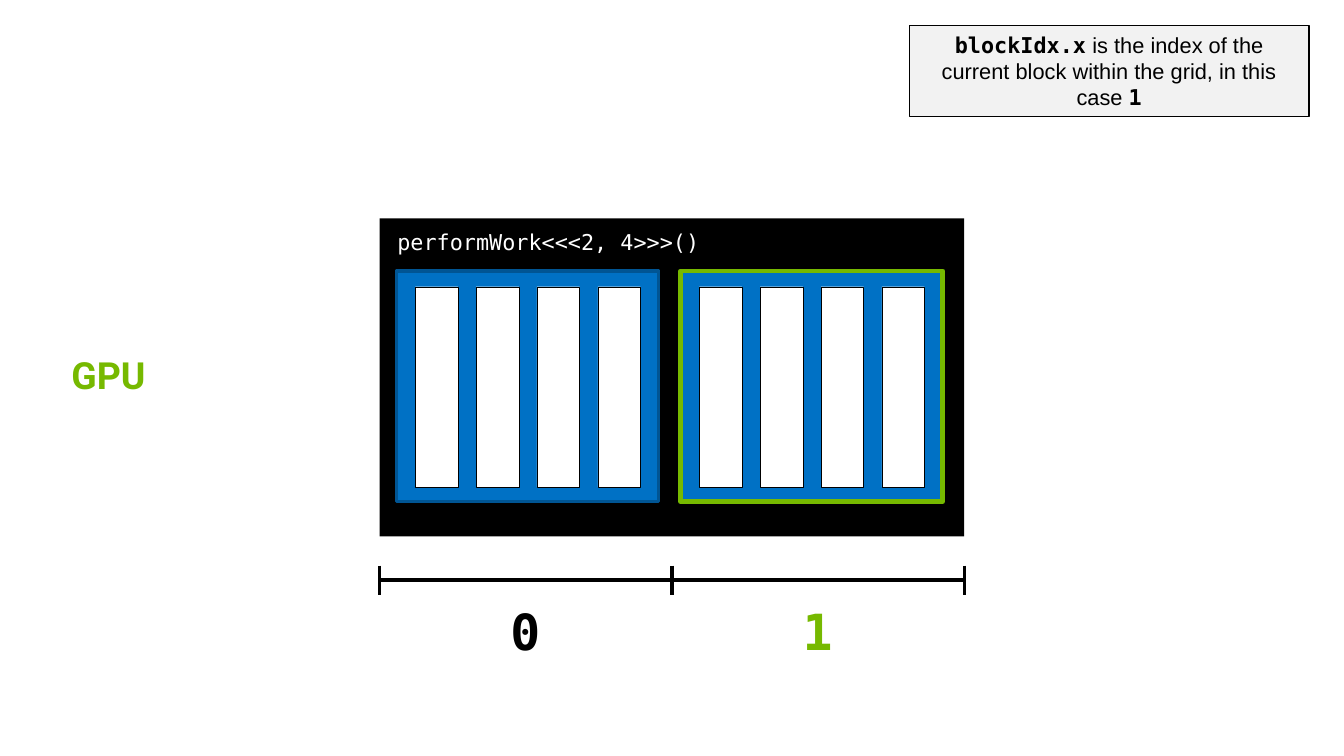
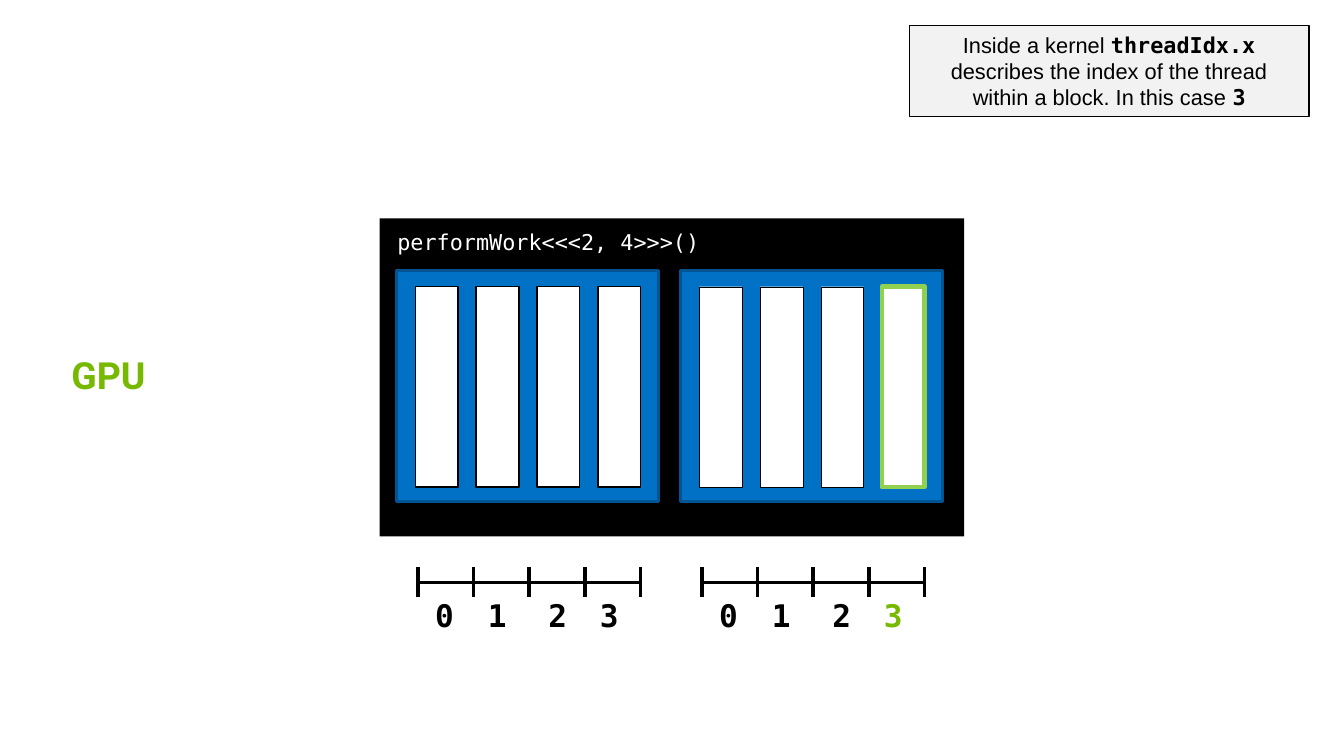
from dataclasses import dataclass

from lxml.etree import SubElement
from pptx import Presentation
from pptx.dml.color import RGBColor
from pptx.enum.shapes import MSO_CONNECTOR, MSO_SHAPE
from pptx.enum.text import MSO_ANCHOR, MSO_AUTO_SIZE, PP_ALIGN
from pptx.oxml.ns import qn
from pptx.util import Pt


@dataclass(frozen=True)
class Theme:
    black: str = "000000"
    white: str = "FFFFFF"
    gray: str = "F2F2F2"
    green: str = "76B900"
    lime: str = "92D050"
    blue: str = "0071C5"
    navy: str = "005594"
    deep: str = "005492"
    sans: str = "Arial"
    mono: str = "DejaVu Sans Mono"
    head: str = "Roboto"
    body: int = 14
    small: int = 20
    title: int = 24
    large: int = 32
    rule: float = 2.25


T = Theme()


def box(home, area, fill, edge=None, width=0.75):
    """Add a rectangle; without an edge colour it has no outline."""
    shape = home.add_shape(MSO_SHAPE.RECTANGLE, *map(Pt, area))
    shape.shadow.inherit = False
    shape.fill.solid()
    shape.fill.fore_color.rgb = RGBColor.from_string(fill)
    if edge:
        shape.line.color.rgb = RGBColor.from_string(edge)
        shape.line.width = Pt(width)
    else:
        shape.line.fill.background()
    return shape


def write(shape, runs, size, color, anchor, align, grow=True):
    """Fill a shape with one paragraph of (text, font, bold) runs."""
    frame = shape.text_frame
    frame.word_wrap = True
    frame.vertical_anchor = anchor
    if grow:
        frame.auto_size = MSO_AUTO_SIZE.SHAPE_TO_FIT_TEXT
    para = frame.paragraphs[0]
    para.alignment = align
    for text, face, bold in runs:
        run = para.add_run()
        run.text = text
        run.font.name = face
        run.font.size = Pt(size)
        run.font.bold = bold
        run.font.color.rgb = RGBColor.from_string(color)
    return para


STEP = 182.6  # from one block to the next
BLOCK_X, BLOCK_Y = 254.9, 174.2
THREAD_X, THREAD_Y, THREAD_STEP = 267, 184.3, 39.1

# Rulers: start, end, y, half tick, label centres, label size (w, h), label top, type size
grid = (244.1, 619.9, 373, 9.4, (93.6, 281.5), (49, 46), 382.3, T.large)
rows = [
    (268.6 + i * STEP, 411.8 + i * STEP, 374.4, 9.7,
     (17.2, 51.1, 89.9, 123.1), (37.4, 31.7), 379.4, T.small)
    for i in range(2)
]

pages = [
    {
        "note": [("blockIdx.x", T.mono, True),
                 (" is the index of the current block within the grid, in this case ",
                  T.sans, False),
                 ("1", T.mono, True)],
        "blocks": [(T.navy, 2.25), (T.green, 3)],
        "threads": [[(T.black, 0.25)] * 4] * 2,
        "rulers": [grid],
    },
    {
        "note": [("Inside a kernel ", T.sans, False),
                 ("threadIdx.x", T.mono, True),
                 (" describes the index of the thread within a block. In this case ",
                  T.sans, False),
                 ("3", T.mono, True)],
        "blocks": [(T.deep, 2)] * 2,
        "threads": [[(T.black, 1)] * 4, [(T.black, 0.25)] * 3 + [(T.lime, 3)]],
        "rulers": rows,
    },
]

deck = Presentation()
deck.slide_width, deck.slide_height = Pt(864), Pt(486)

for page in pages:
    home = deck.slides.add_slide(deck.slide_layouts[6]).shapes

    note = box(home, (584.6, 16.6, 257, 58.3), T.gray, T.black)
    write(note, page["note"], T.body, T.black, MSO_ANCHOR.TOP, PP_ALIGN.CENTER)

    label = home.add_textbox(*map(Pt, (38.9, 226.1, 69.8, 33.1)))
    para = write(label, [("GPU", T.head, True)], T.title, T.green,
                 MSO_ANCHOR.BOTTOM, PP_ALIGN.LEFT, grow=False)
    para.line_spacing = 0.9

    # Kernel with its blocks and threads
    box(home, (244.1, 140.4, 375.8, 204.5), T.black)
    call = box(home, (248.4, 143.3, 220.3, 24.5), T.black)
    write(call, [("performWork<<<2, 4>>>()", T.mono, False)], T.body, T.white,
          MSO_ANCHOR.MIDDLE, PP_ALIGN.LEFT)
    for i, (edge, threads) in enumerate(zip(page["blocks"], page["threads"])):
        box(home, (BLOCK_X + i * STEP, BLOCK_Y, 168.5, 148.3), T.blue, *edge)
        for j, line in enumerate(threads):
            x = THREAD_X + i * STEP + j * THREAD_STEP
            box(home, (x, THREAD_Y, 27.4, 128.9), T.white, *line)

    # Index rulers; the last index of the last ruler is the current one
    for ruler in page["rulers"]:
        left, right, y, tick, mids, (wide, high), top, size = ruler
        group = home.add_group_shape().shapes
        count = len(mids)
        gap = (right - left) / count
        lines = [(left, y, right, y)]
        for i in range(count + 1):
            x = left + i * gap
            lines.append((x, y - tick, x, y + tick))
        for ends in lines:
            line = group.add_connector(MSO_CONNECTOR.STRAIGHT, *map(Pt, ends))
            line.line.color.rgb = RGBColor.from_string(T.black)
            line.line.width = Pt(T.rule)
            SubElement(line._element.spPr, qn("a:effectLst"))
        for i, mid in enumerate(mids):
            live = ruler is page["rulers"][-1] and i == count - 1
            area = (left + mid - wide / 2, top, wide, high)
            index = group.add_textbox(*map(Pt, area))
            write(index, [(str(i), T.mono, True)], size, T.green if live else T.black,
                  MSO_ANCHOR.MIDDLE, PP_ALIGN.CENTER)

deck.save("out.pptx")
